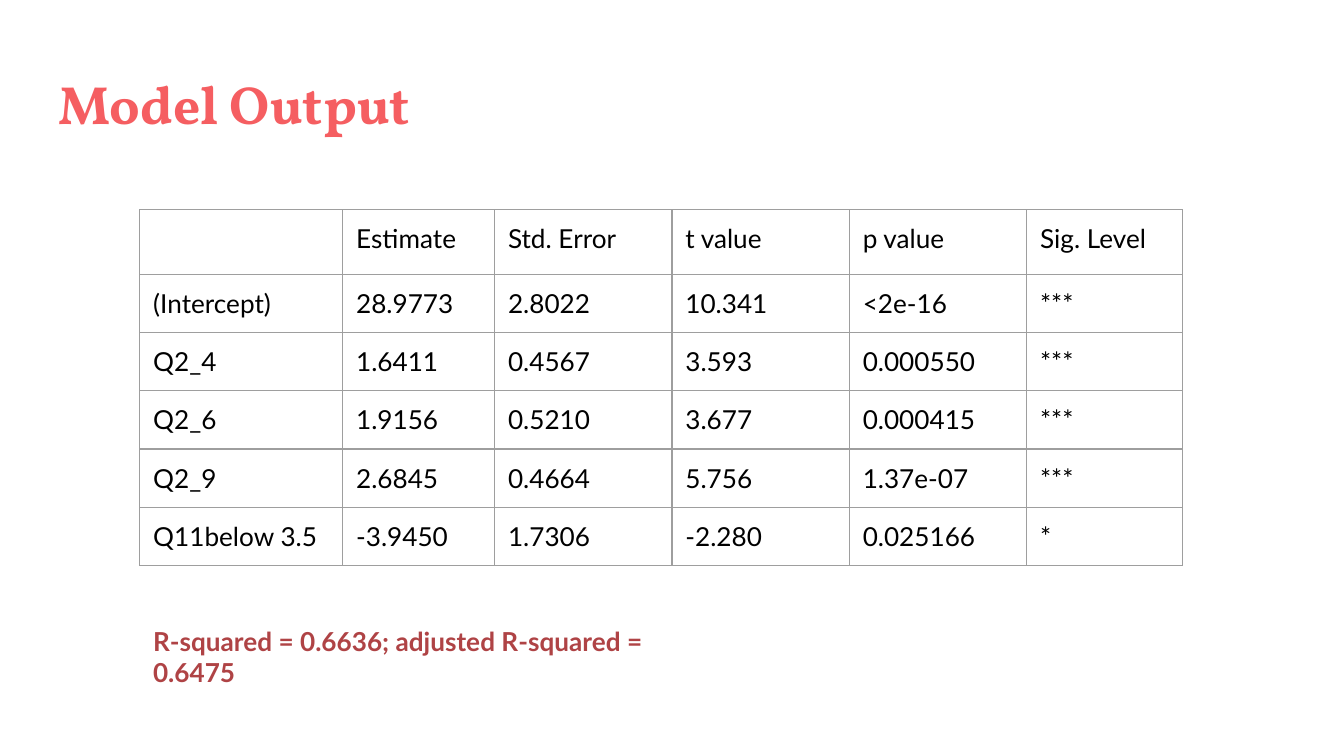
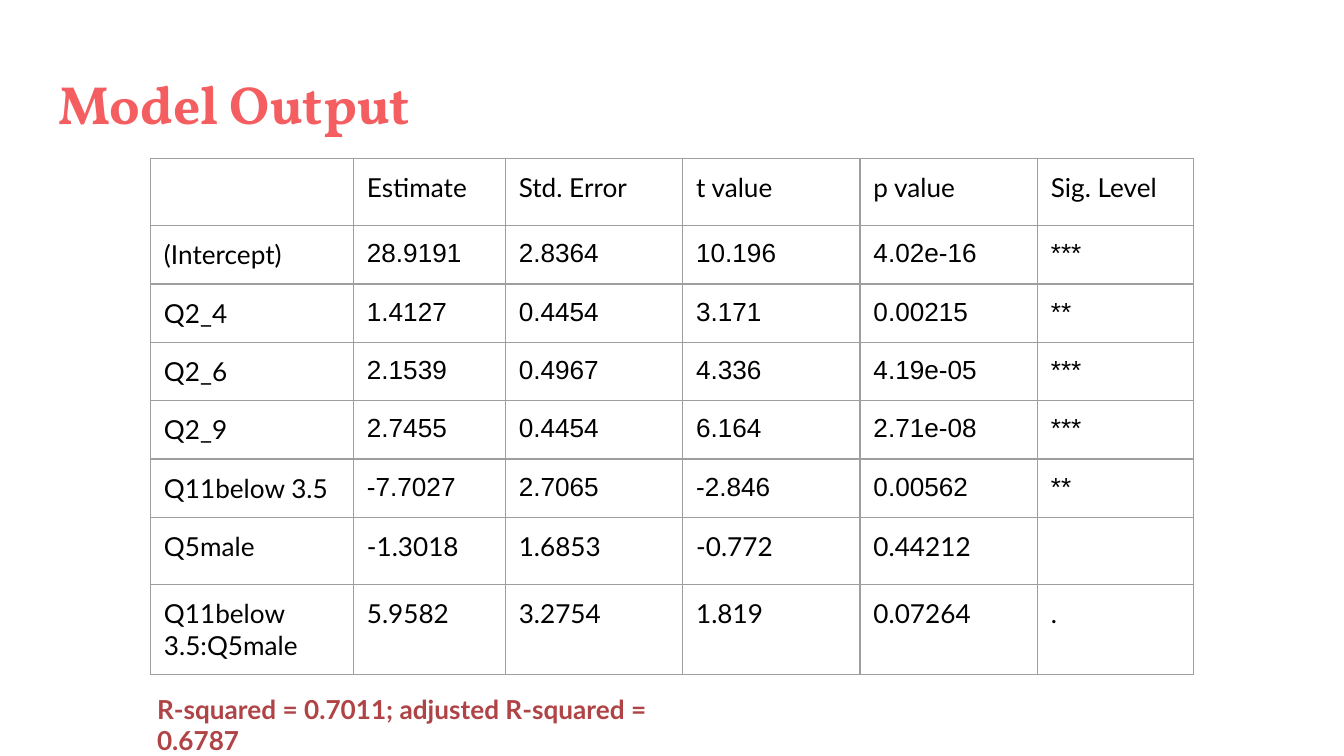
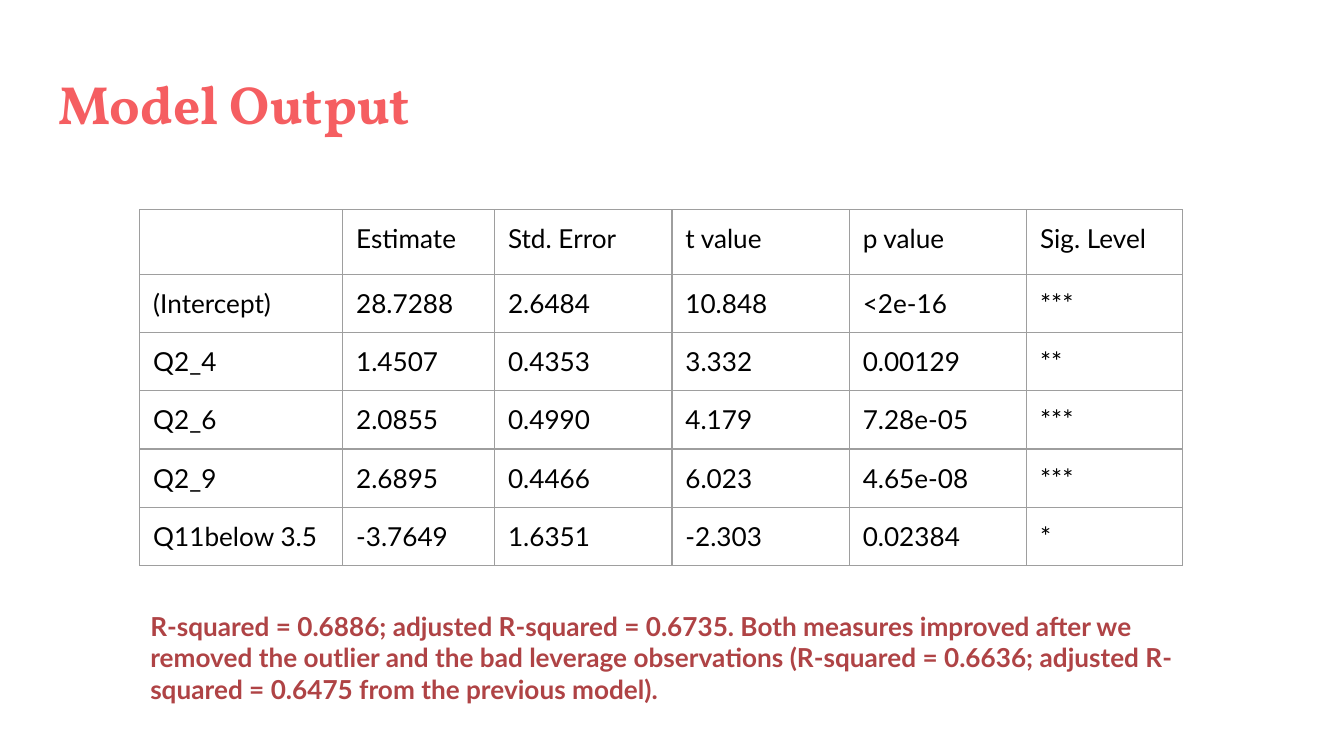
import dataclasses

import lxml.etree
import pptx
import pptx.dml.color
import pptx.enum.text
import pptx.oxml.ns
import pptx.util

Inches = pptx.util.Inches
Pt = pptx.util.Pt


@dataclasses.dataclass(frozen=True)
class Theme:
    title_color: str = "F55E61"
    note_color: str = "AF4345"
    cell_color: str = "000000"
    border_color: str = "9E9E9E"
    title_font: str = "Vollkorn"
    body_font: str = "Lato"
    figure_font: str = "Arial"
    title_size: float = 28.8
    body_size: float = 14
    border_width: float = 0.75
    inset: float = 0.1


THEME = Theme()
TITLE = "Model Output"
TITLE_BOX = (0.34, 0.43, 9.32, 0.68)
HEADINGS = ("", "Estimate", "Std. Error", "t value", "p value", "Sig. Level")
COLUMN_WIDTHS = (1.51, 1.13, 1.32, 1.32, 1.32, 1.16)
ROW_HEIGHT = 0.42

# "tall_rows" maps a row number to its height;
# "arial_rows" lists the rows whose figures are set in the figure font.
MODELS = [
    {
        "table_at": (1.04, 1.56),
        "coefficients": [
            ("(Intercept)", "28.9773", "2.8022", "10.341", "<2e-16", "***"),
            ("Q2_4", "1.6411", "0.4567", "3.593", "0.000550", "***"),
            ("Q2_6", "1.9156", "0.5210", "3.677", "0.000415", "***"),
            ("Q2_9", "2.6845", "0.4664", "5.756", "1.37e-07", "***"),
            ("Q11below 3.5", "-3.9450", "1.7306", "-2.280", "0.025166", "*"),
        ],
        "tall_rows": {0: 0.48},
        "arial_rows": (),
        "note": "R-squared = 0.6636; adjusted R-squared = 0.6475",
        "note_box": (1.04, 4.55, 4.49, 0.44),
    },
    {
        "table_at": (1.12, 1.18),
        "coefficients": [
            ("(Intercept)", "28.9191", "2.8364", "10.196", "4.02e-16", "***"),
            ("Q2_4", "1.4127", "0.4454", "3.171", "0.00215", "**"),
            ("Q2_6", "2.1539", "0.4967", "4.336", "4.19e-05", "***"),
            ("Q2_9", "2.7455", "0.4454", "6.164", "2.71e-08", "***"),
            ("Q11below 3.5", "-7.7027", "2.7065", "-2.846", "0.00562", "**"),
            ("Q5male", "-1.3018", "1.6853", "-0.772", "0.44212", ""),
            ("Q11below 3.5:Q5male", "5.9582", "3.2754", "1.819", "0.07264", "."),
        ],
        "tall_rows": {0: 0.5, 6: 0.5},
        "arial_rows": range(1, 6),
        "note": "R-squared = 0.7011; adjusted R-squared = 0.6787",
        "note_box": (1.07, 5.06, 4.49, 0.44),
    },
    {
        "table_at": (1.04, 1.56),
        "coefficients": [
            ("(Intercept)", "28.7288", "2.6484", "10.848", "<2e-16", "***"),
            ("Q2_4", "1.4507", "0.4353", "3.332", "0.00129", "**"),
            ("Q2_6", "2.0855", "0.4990", "4.179", "7.28e-05", "***"),
            ("Q2_9", "2.6895", "0.4466", "6.023", "4.65e-08", "***"),
            ("Q11below 3.5", "-3.7649", "1.6351", "-2.303", "0.02384", "*"),
        ],
        "tall_rows": {0: 0.48},
        "arial_rows": (),
        "note": "R-squared = 0.6886; adjusted R-squared = 0.6735. Both measures "
                "improved after we removed the outlier and the bad leverage "
                "observations (R-squared = 0.6636; adjusted R-squared = 0.6475 "
                "from the previous model).",
        "note_box": (1.02, 4.44, 7.97, 0.91),
    },
]


def set_insets(holder):
    for side in ("left", "top", "right", "bottom"):
        setattr(holder, f"margin_{side}", Inches(THEME.inset))


def write(text_frame, text, font, size, color, bold=False):
    text_frame.text = text
    paragraph = text_frame.paragraphs[0]
    for run in paragraph.runs:
        run.font.name = font
        run.font.size = Pt(size)
        run.font.bold = bold
        run.font.color.rgb = pptx.dml.color.RGBColor.from_string(color)
    if not text:  # keeps an empty cell from growing to the default size
        end = lxml.etree.SubElement(paragraph._p, pptx.oxml.ns.qn("a:endParaRPr"))
        end.set("sz", str(int(size * 100)))


def add_text(slide, box, text, font, size, color):
    frame = slide.shapes.add_textbox(*map(Inches, box)).text_frame
    frame.word_wrap = True
    frame.vertical_anchor = pptx.enum.text.MSO_ANCHOR.TOP
    set_insets(frame)
    write(frame, text, font, size, color, bold=True)


def add_borders(cell):
    qn = pptx.oxml.ns.qn
    properties = cell._tc.get_or_add_tcPr()
    for position, edge in enumerate(("a:lnL", "a:lnR", "a:lnT", "a:lnB")):
        line = lxml.etree.Element(qn(edge), w=str(Pt(THEME.border_width)))
        fill = lxml.etree.SubElement(line, qn("a:solidFill"))
        lxml.etree.SubElement(fill, qn("a:srgbClr"), val=THEME.border_color)
        properties.insert(position, line)


def add_coefficients(slide, model):
    rows = [HEADINGS] + model["coefficients"]
    heights = [model["tall_rows"].get(row, ROW_HEIGHT) for row in range(len(rows))]
    left, top = model["table_at"]
    table = slide.shapes.add_table(
        len(rows), len(HEADINGS), Inches(left), Inches(top),
        Inches(sum(COLUMN_WIDTHS)), Inches(sum(heights))).table
    table.first_row = table.horz_banding = False
    for column, width in zip(table.columns, COLUMN_WIDTHS):
        column.width = Inches(width)
    for row, (values, height) in enumerate(zip(rows, heights)):
        table.rows[row].height = Inches(height)
        for column, value in enumerate(values):
            cell = table.cell(row, column)
            is_arial = column > 0 and row in model["arial_rows"]
            font = THEME.figure_font if is_arial else THEME.body_font
            set_insets(cell)
            cell.fill.background()
            write(cell.text_frame, value, font, THEME.body_size, THEME.cell_color)
            add_borders(cell)


def main():
    deck = pptx.Presentation()
    deck.slide_width = Inches(10)
    deck.slide_height = deck.slide_width * 9 // 16
    for model in MODELS:
        slide = deck.slides.add_slide(deck.slide_layouts[6])
        add_text(slide, TITLE_BOX, TITLE,
                 THEME.title_font, THEME.title_size, THEME.title_color)
        add_coefficients(slide, model)
        add_text(slide, model["note_box"], model["note"],
                 THEME.body_font, THEME.body_size, THEME.note_color)
    deck.save("out.pptx")


if __name__ == "__main__":
    main()
